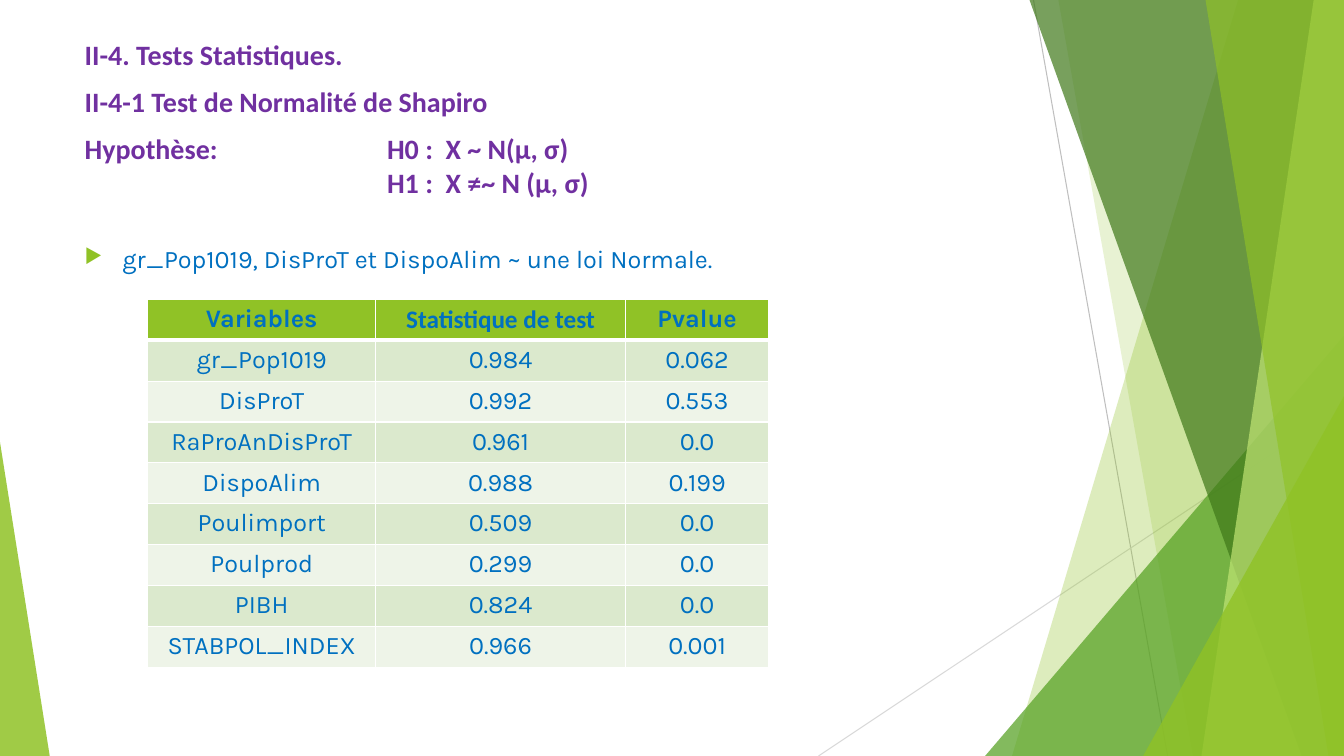
from dataclasses import dataclass

from lxml import etree
from pptx import Presentation
from pptx import util as u
from pptx.dml.color import RGBColor
from pptx.enum import shapes, text
from pptx.oxml import ns


@dataclass(frozen=True)
class Theme:
    lime: str = "90C226"
    pale_lime: str = "C0E474"
    green: str = "54A021"
    forest: str = "3F7819"
    purple: str = "7030A0"
    blue: str = "0070C0"
    white: str = "FFFFFF"
    grey: str = "BFBFBF"
    light_grey: str = "D9D9D9"
    bands: tuple = ("DBE9CD", "EEF4E8")
    heading_font: str = "Calibri"
    body_font: str = "Karla"
    bullet_font: str = "OpenSymbol"
    heading_size: int = 20
    body_size: int = 18


def add_xml(parent, tag, **attributes):
    return etree.SubElement(parent, ns.qn(tag), attributes)


class SlideBuilder:
    def __init__(self, deck, theme):
        self.theme = theme
        self.width, self.height = deck.slide_width, deck.slide_height
        self.slide = deck.slides.add_slide(deck.slide_layouts[1])
        self.shapes = self.slide.shapes

    def x(self, percent):
        return round(self.width * percent / 100)

    def y(self, percent):
        return round(self.height * percent / 100)

    def area(self, left, top, width, height):
        return self.x(left), self.y(top), self.x(width), self.y(height)

    def paint(self, shape, colour, opacity):
        shape.shadow.inherit = False
        shape.line.fill.background()
        shape.fill.solid()
        shape.fill.fore_color.rgb = RGBColor.from_string(colour)
        for tint in shape._element.spPr.iter(ns.qn("a:srgbClr")):
            add_xml(tint, "a:alpha", val=str(opacity * 1000))

    def line(self, start, end, colour):
        connector = self.shapes.add_connector(
            shapes.MSO_CONNECTOR.STRAIGHT,
            self.x(start[0]), self.y(start[1]), self.x(end[0]), self.y(end[1]))
        connector.line.color.rgb = RGBColor.from_string(colour)
        connector.line.width = u.Pt(0.75)
        add_xml(connector._element.spPr, "a:effectLst")

    def panel(self, top_left, bottom_left, colour, opacity):
        corners = [(100, 0), (100, 100), (bottom_left, 100)]
        outline = self.shapes.build_freeform(self.x(top_left), 0)
        outline.add_line_segments([(self.x(h), self.y(v)) for h, v in corners])
        self.paint(outline.convert_to_shape(), colour, opacity)

    def triangle(self, left, top, width, apex, colour, opacity):
        shape = self.shapes.add_shape(
            shapes.MSO_SHAPE.ISOSCELES_TRIANGLE, *self.area(left, top, width, 100 - top))
        shape.adjustments[0] = apex
        self.paint(shape, colour, opacity)

    def format_runs(self, para, font, size, colour, bold=False):
        for span in para.runs:
            span.font.name = font
            span.font.size = u.Pt(size)
            span.font.bold = bold
            span.font.color.rgb = RGBColor.from_string(colour)

    def place(self, box, area):
        box.left, box.top, box.width, box.height = self.area(*area)
        self.shapes._spTree.append(box._element)
        frame = box.text_frame
        frame.word_wrap = True
        frame.auto_size = text.MSO_AUTO_SIZE.NONE
        frame.vertical_anchor = text.MSO_ANCHOR.TOP
        return frame

    def title(self, lines, gaps, tab, area):
        frame = self.place(self.shapes.title, area)
        frame.text = "\n".join(lines)
        for para, gap in zip(frame.paragraphs, gaps):
            tabs = add_xml(para._p.get_or_add_pPr(), "a:tabLst")
            add_xml(tabs, "a:tab", pos=str(self.x(tab)), algn="l")
            para.alignment = text.PP_ALIGN.LEFT
            para.space_before = u.Pt(gap)
            self.format_runs(para, self.theme.heading_font, self.theme.heading_size,
                             self.theme.purple, True)

    def bullet(self, wording, indent, area):
        frame = self.place(self.slide.placeholders[1], area)
        frame.text = wording
        para = frame.paragraphs[0]
        properties = para._p.get_or_add_pPr()
        properties.set("marL", str(self.x(indent)))
        properties.set("indent", str(-self.x(indent)))
        add_xml(add_xml(properties, "a:buClr"), "a:srgbClr", val=self.theme.lime)
        add_xml(properties, "a:buSzPct", val="80000")
        add_xml(properties, "a:buFont", typeface=self.theme.bullet_font)
        add_xml(properties, "a:buChar", char="▶")
        para.space_before = u.Pt(0)
        self.format_runs(para, self.theme.body_font, self.theme.body_size, self.theme.blue)

    def cell(self, cell, wording, fill, font, bold, bottom_border):
        properties = cell._tc.get_or_add_tcPr()
        for side, points in (("L", 1), ("R", 1), ("T", 1), ("B", bottom_border)):
            border = add_xml(properties, f"a:ln{side}", w=str(u.Pt(points)))
            add_xml(add_xml(border, "a:solidFill"), "a:srgbClr", val=self.theme.white)
        cell.fill.solid()
        cell.fill.fore_color.rgb = RGBColor.from_string(fill)
        cell.text = wording
        para = cell.text_frame.paragraphs[0]
        para.alignment = text.PP_ALIGN.CENTER
        self.format_runs(para, font, self.theme.body_size, self.theme.blue, bold)

    def table(self, header, header_fonts, rows, left, top, columns, row_height):
        count = len(rows) + 1
        table = self.shapes.add_table(
            count, len(columns),
            *self.area(left, top, sum(columns), row_height * count)).table
        for column, width in zip(table.columns, columns):
            column.width = self.x(width)
        for row in table.rows:
            row.height = self.y(row_height)
        for index, (wording, font) in enumerate(zip(header, header_fonts)):
            self.cell(table.cell(0, index), wording, self.theme.lime, font, True, 3)
        for number, values in enumerate(rows, 1):
            band = self.theme.bands[(number - 1) % 2]
            for index, wording in enumerate(values):
                self.cell(table.cell(number, index), wording, band,
                          self.theme.body_font, False, 1)


def main():
    deck = Presentation()
    deck.slide_width, deck.slide_height = u.Emu(12192000), u.Inches(7.5)
    theme = Theme()
    page = SlideBuilder(deck, theme)

    page.line((76.9, 0), (86.88, 100), theme.grey)
    page.line((100, 53.7), (60.9, 100), theme.light_grey)
    page.panel(92.12, 75.3, theme.lime, 30)
    page.panel(78.75, 88.75, theme.lime, 20)
    page.triangle(73.3, 44.4, 26.7, 1, theme.green, 72)
    page.panel(76.6, 96.85, theme.forest, 70)
    page.panel(97.75, 89.4, theme.pale_lime, 70)
    page.panel(89.7, 98.85, theme.lime, 65)
    page.triangle(85.05, 52.4, 14.95, 1, theme.lime, 80)
    page.triangle(0, 58.5, 3.7, 0, theme.lime, 85)

    page.title(
        ["II-4. Tests Statistiques.", "II-4-1 Test de Normalité de Shapiro",
         "Hypothèse:\tH0 :  X ~ N(μ, σ)", "\tH1 :  X ≠~ N (μ, σ)"],
        gaps=(0, 9.6, 9.6, 0), tab=22.5, area=(5.55, 4.27, 70.5, 23.9))
    page.bullet("gr_Pop1019, DisProT et DispoAlim ~ une loi Normale.",
                indent=2.81, area=(5.55, 31.5, 70.5, 56.5))
    page.table(
        ("Variables", "Statistique de test", "Pvalue"),
        (theme.body_font, theme.heading_font, theme.body_font),
        [("gr_Pop1019", "0.984", "0.062"),
         ("DisProT", "0.992", "0.553"),
         ("RaProAnDisProT", "0.961", "0.0"),
         ("DispoAlim", "0.988", "0.199"),
         ("Poulimport", "0.509", "0.0"),
         ("Poulprod", "0.299", "0.0"),
         ("PIBH", "0.824", "0.0"),
         ("STABPOL_INDEX", "0.966", "0.001")],
        left=11, top=39.6, columns=(16.95, 18.6, 10.65), row_height=5.41)

    deck.save("out.pptx")


if __name__ == "__main__":
    main()
